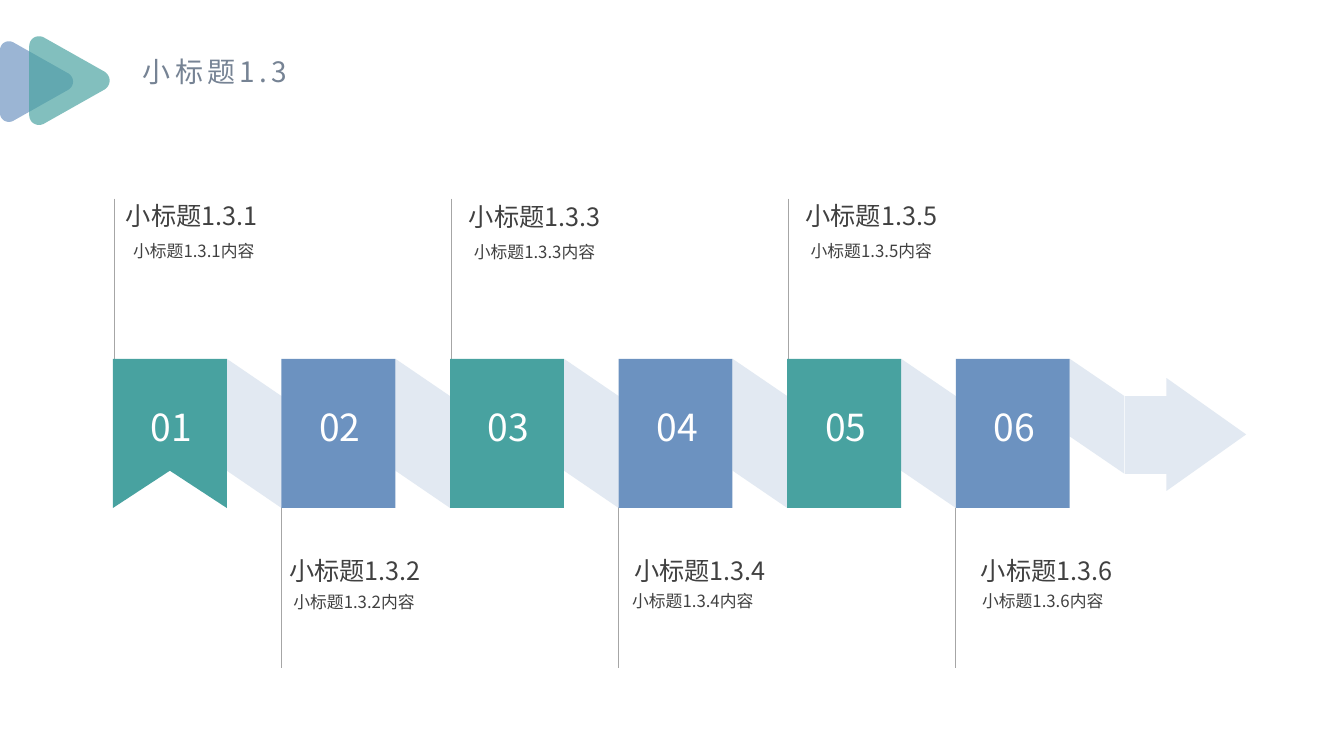
from lxml import etree
from pptx import Presentation
from pptx.dml.color import RGBColor
from pptx.enum.shapes import MSO_CONNECTOR, MSO_SHAPE
from pptx.enum.text import MSO_ANCHOR, PP_ALIGN
from pptx.oxml.ns import qn
from pptx.util import Inches, Pt

RECTANGLE = MSO_SHAPE.RECTANGLE
STRAIGHT = MSO_CONNECTOR.STRAIGHT
TOP, MIDDLE = MSO_ANCHOR.TOP, MSO_ANCHOR.MIDDLE
LEFT, CENTER, JUSTIFY = PP_ALIGN.LEFT, PP_ALIGN.CENTER, PP_ALIGN.JUSTIFY

TEAL, BLUE, PALE = "48A2A0", "6C92C0", "E2E9F2"
DARK, GREY, SLATE, WHITE = "404040", "A6A6A6", "768394", "FFFFFF"

BLOCK_LEFT, BLOCK_TOP, BLOCK_WIDTH, BLOCK_HEIGHT = 1.12, 3.56, 1.13, 1.48
BLOCK_STEP = (9.48 - BLOCK_LEFT) / 5
BLOCK_BOTTOM = BLOCK_TOP + BLOCK_HEIGHT
FOLD = 0.37
STEM = 1.6

STEPS = [
    ((1.12, 1.86), (1.32, 2.36), 3.02),
    ((2.74, 5.38), (2.91, 5.84), 3.1),
    ((4.52, 1.87), (4.7, 2.37), 2.98),
    ((6.16, 5.38), (6.27, 5.83), 3.1),
    ((7.86, 1.86), (8.04, 2.36), 2.72),
    ((9.6, 5.38), (9.74, 5.83), 2.42),
]


def color(hex_value):
    return RGBColor.from_string(hex_value)


def curve(start, first, second, end, pieces=12):
    points = []
    for i in range(pieces + 1):
        t = i / pieces
        weights = ((1 - t) ** 3, 3 * t * (1 - t) ** 2, 3 * t * t * (1 - t), t ** 3)
        points.append(tuple(
            sum(w * p[axis] for w, p in zip(weights, (start, first, second, end)))
            for axis in (0, 1)
        ))
    return points


def rounded_triangle(left, middle, scale):
    outline = (
        curve((0, -0.31), (0, -0.38), (0.07, -0.42), (0.13, -0.39))
        + curve((0.68, -0.08), (0.74, -0.04), (0.74, 0.04), (0.68, 0.08))
        + curve((0.13, 0.39), (0.07, 0.42), (0, 0.38), (0, 0.31))
    )
    return [(left + scale * x, middle + scale * y) for x, y in outline]


class Deck:
    font = "Noto Sans CJK SC"

    def __init__(self):
        self.presentation = Presentation()
        self.presentation.slide_width = Inches(13.33)
        self.presentation.slide_height = Inches(7.5)
        self.slide = self.presentation.slides.add_slide(self.presentation.slide_layouts[6])
        self.shapes = self.slide.shapes

    def paint(self, shape, fill, alpha=None):
        shape.shadow.inherit = False
        shape.fill.solid()
        shape.fill.fore_color.rgb = color(fill)
        shape.line.fill.background()
        if alpha is not None:
            solid = shape.fill._xPr.find(qn("a:solidFill"))
            etree.SubElement(solid[0], qn("a:alpha")).set("val", str(alpha * 1000))

    def block(self, left, top, width, height, fill):
        shape = self.shapes.add_shape(
            RECTANGLE, Inches(left), Inches(top), Inches(width), Inches(height))
        self.paint(shape, fill)

    def outline(self, points, fill, alpha=None):
        corners = [(Inches(x), Inches(y)) for x, y in points]
        builder = self.shapes.build_freeform(*corners[0])
        builder.add_line_segments(corners[1:], close=True)
        self.paint(builder.convert_to_shape(), fill, alpha)

    def stem(self, x, top):
        line = self.shapes.add_connector(
            STRAIGHT, Inches(x), Inches(top), Inches(x), Inches(top + STEM))
        line.line.color.rgb = color(GREY)
        line.line.width = Pt(0.5)
        etree.SubElement(line._element.spPr, qn("a:effectLst"))

    def text(self, words, left, top, width, height, size, ink, align=LEFT, anchor=TOP,
             inset=(0.1, 0.05), leading=None, wrap=True, spacing=None):
        box = self.shapes.add_textbox(
            Inches(left), Inches(top), Inches(width), Inches(height))
        frame = box.text_frame
        frame.word_wrap = wrap
        frame.vertical_anchor = anchor
        frame.margin_left = frame.margin_right = Inches(inset[0])
        frame.margin_top = frame.margin_bottom = Inches(inset[1])
        paragraph = frame.paragraphs[0]
        paragraph.alignment = align
        if leading is not None:
            paragraph.line_spacing = leading
        run = paragraph.add_run()
        run.text = words
        run.font.size = Pt(size)
        run.font.name = self.font
        run.font.color.rgb = color(ink)
        properties = run._r.get_or_add_rPr()
        etree.SubElement(properties, qn("a:ea")).set("typeface", self.font)
        if spacing is not None:
            properties.set("spc", str(spacing * 100))


def band(left, depth):
    right = left + BLOCK_STEP - BLOCK_WIDTH
    return [
        (left, BLOCK_TOP),
        (right, BLOCK_TOP + FOLD),
        (right, BLOCK_TOP + FOLD + depth),
        (left, BLOCK_TOP + depth),
    ]


def main():
    deck = Deck()
    deck.text("小标题1.3", 1.32, 0.49, 1.7, 0.44, size=20, ink=SLATE, wrap=False, spacing=3)
    deck.outline(rounded_triangle(0, 0.81, 1), BLUE, alpha=68)
    deck.outline(rounded_triangle(0.29, 0.8, 1.1), TEAL, alpha=68)

    lefts = [BLOCK_LEFT + BLOCK_STEP * i for i in range(len(STEPS))]
    for i, left in enumerate(lefts):
        if i % 2:
            deck.stem(left, BLOCK_BOTTOM - 0.01)
        else:
            deck.stem(left + 0.01, BLOCK_TOP + 0.01 - STEM)

    for left in lefts[:-1]:
        deck.outline(band(left + BLOCK_WIDTH, 1.11), PALE)
    deck.outline(band(lefts[-1] + BLOCK_WIDTH, 0.77), PALE)
    deck.outline([
        (11.16, 3.93), (11.57, 3.93), (11.57, 3.75), (12.36, 4.31),
        (11.57, 4.87), (11.57, 4.7), (11.16, 4.7),
    ], PALE)

    ribbon_right = BLOCK_LEFT + BLOCK_WIDTH
    deck.outline([
        (BLOCK_LEFT, BLOCK_TOP), (ribbon_right, BLOCK_TOP), (ribbon_right, BLOCK_BOTTOM),
        (BLOCK_LEFT + BLOCK_WIDTH / 2, BLOCK_BOTTOM - FOLD), (BLOCK_LEFT, BLOCK_BOTTOM),
    ], TEAL)
    for i, left in enumerate(lefts[1:], start=1):
        deck.block(left, BLOCK_TOP, BLOCK_WIDTH, BLOCK_HEIGHT, BLUE if i % 2 else TEAL)

    for number, (left, step) in enumerate(zip(lefts, STEPS), start=1):
        heading, content, content_width = step
        title = f"小标题1.3.{number}"
        deck.text(f"{number:02}", left - 0.12, 3.74, 1.4, 0.99, size=26.6, ink=WHITE,
                  align=CENTER, anchor=MIDDLE)
        deck.text(title, *heading, 2.56, 1.36, size=18, ink=DARK,
                  align=JUSTIFY, inset=(0.13, 0.07), leading=1.2)
        deck.text(f"{title}内容", *content, content_width, 1.09, size=12, ink=DARK,
                  inset=(0, 0), leading=1.14)

    deck.presentation.save("out.pptx")


if __name__ == "__main__":
    main()
